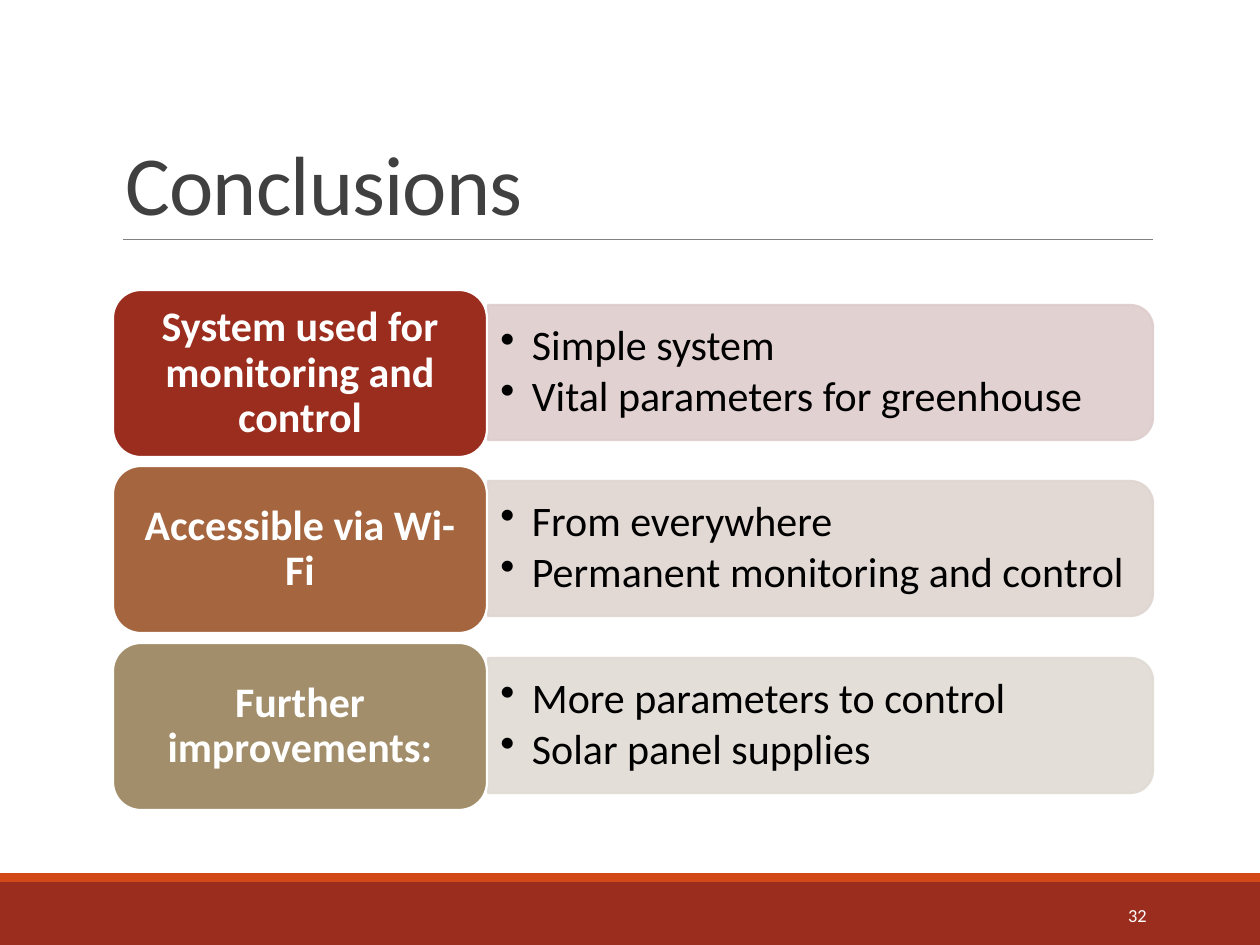
import pptx
import pptx.util
import pptx.dml.color
import pptx.enum.shapes
import pptx.enum.text
import pptx.oxml
import pptx.oxml.ns
import lxml.etree

RGBColor = pptx.dml.color.RGBColor
SHAPE = pptx.enum.shapes.MSO_SHAPE
ALIGN = pptx.enum.text.PP_ALIGN
ANCHOR = pptx.enum.text.MSO_ANCHOR
Pt = pptx.util.Pt
qn = pptx.oxml.ns.qn

PX = 914400 / 126
RED = RGBColor(0x9B, 0x2D, 0x1F)
ORANGE = RGBColor(0xD3, 0x48, 0x17)
BROWN = RGBColor(0xA4, 0x65, 0x3F)
TAN = RGBColor(0xA2, 0x8E, 0x6A)
PALE_RED = RGBColor(0xDE, 0xCD, 0xCD)
PALE_BROWN = RGBColor(0xDF, 0xD5, 0xD1)
PALE_TAN = RGBColor(0xE0, 0xDB, 0xD4)
GRAY = RGBColor(0x80, 0x80, 0x80)
DARK = RGBColor(0x40, 0x40, 0x40)
WHITE = RGBColor(0xFF, 0xFF, 0xFF)
BLACK = RGBColor(0, 0, 0)

ROWS = [
    ("System used for monitoring and control", RED, PALE_RED,
     ["Simple system", "Vital parameters for greenhouse"]),
    ("Accessible via Wi-Fi", BROWN, PALE_BROWN,
     ["From everywhere", "Permanent monitoring and control"]),
    ("Further improvements:", TAN, PALE_TAN,
     ["More parameters to control", "Solar panel supplies"]),
]


def add_box(kind, x, y, w, h, fill, line=None):
    sp = s.shapes.add_shape(kind, *[round(v * PX) for v in (x, y, w, h)])
    sp.shadow.inherit = False
    sp.fill.solid()
    sp.fill.fore_color.rgb = fill
    if line is None:
        sp.line.fill.background()
    else:
        sp.line.color.rgb = line
        sp.line.width = Pt(1.25)
    return sp


def add_run(p, text, size, color, bold=False):
    r = p.add_run()
    r.text = text
    r.font.name = "Calibri"
    r.font.size = Pt(size)
    r.font.color.rgb = color
    r.font.bold = bold
    return r


prs = pptx.Presentation()
prs.slide_width = round(1260 * PX)
prs.slide_height = round(945 * PX)
s = prs.slides.add_slide(prs.slide_layouts[5])

add_box(SHAPE.RECTANGLE, 0, 882, 1260, 63, RED)
add_box(SHAPE.RECTANGLE, 0, 873, 1260, 9, ORANGE)

rule = s.shapes.add_connector(
    pptx.enum.shapes.MSO_CONNECTOR.STRAIGHT,
    *[round(v * PX) for v in (123, 239, 1153, 239)])
rule.line.color.rgb = GRAY
rule.line.width = Pt(0.5)
lxml.etree.SubElement(rule.element.spPr, qn("a:effectLst"))

title = s.shapes.title
title.left, title.top, title.width, title.height = [
    round(v * PX) for v in (113, 39, 1040, 200)]
tf = title.text_frame
tf.auto_size = pptx.enum.text.MSO_AUTO_SIZE.NONE
tf.vertical_anchor = ANCHOR.BOTTOM
p = tf.paragraphs[0]
p.alignment = ALIGN.LEFT
p.line_spacing = 0.85
r = add_run(p, "Conclusions", 48, DARK)
r.font._element.set("spc", "-50")

for i, (heading, color, pale, points) in enumerate(ROWS):
    y = 290 + i * 353 // 2

    panel = add_box(SHAPE.ROUND_2_SAME_RECTANGLE, 753, y - 250, 135, 665, pale, pale)
    panel.rotation = 90
    for clr in panel.element.spPr.iter(qn("a:srgbClr")):
        lxml.etree.SubElement(clr, qn("a:alpha")).set("val", "90000")

    tb = s.shapes.add_textbox(*[round(v * PX) for v in (488, y + 22, 659, 121)])
    tf = tb.text_frame
    tf.word_wrap = True
    tf.vertical_anchor = ANCHOR.MIDDLE
    for j, point in enumerate(points):
        p = tf.paragraphs[0] if j == 0 else tf.add_paragraph()
        p.level = 1
        p.line_spacing = 0.9
        p.space_after = Pt(3.6)
        pPr = p._p.get_or_add_pPr()
        pPr.set("marL", "228600")
        pPr.set("indent", "-228600")
        lxml.etree.SubElement(pPr, qn("a:buChar")).set("char", "•")
        add_run(p, point, 24, BLACK)

    tile = add_box(SHAPE.ROUNDED_RECTANGLE, 113, y, 374, 167, color, WHITE)
    tf = tile.text_frame
    tf.word_wrap = True
    tf.vertical_anchor = ANCHOR.MIDDLE
    tf.margin_left = tf.margin_right = round(20 * PX)
    p = tf.paragraphs[0]
    p.alignment = ALIGN.CENTER
    p.line_spacing = 0.9
    add_run(p, heading, 24, WHITE, True)

tb = s.shapes.add_textbox(*[round(v * PX) for v in (1023, 890, 136, 50)])
tf = tb.text_frame
tf.word_wrap = True
tf.vertical_anchor = ANCHOR.MIDDLE
p = tf.paragraphs[0]
p.alignment = ALIGN.RIGHT
add_run(p, "32", 10.5, WHITE)

prs.save("out.pptx")
